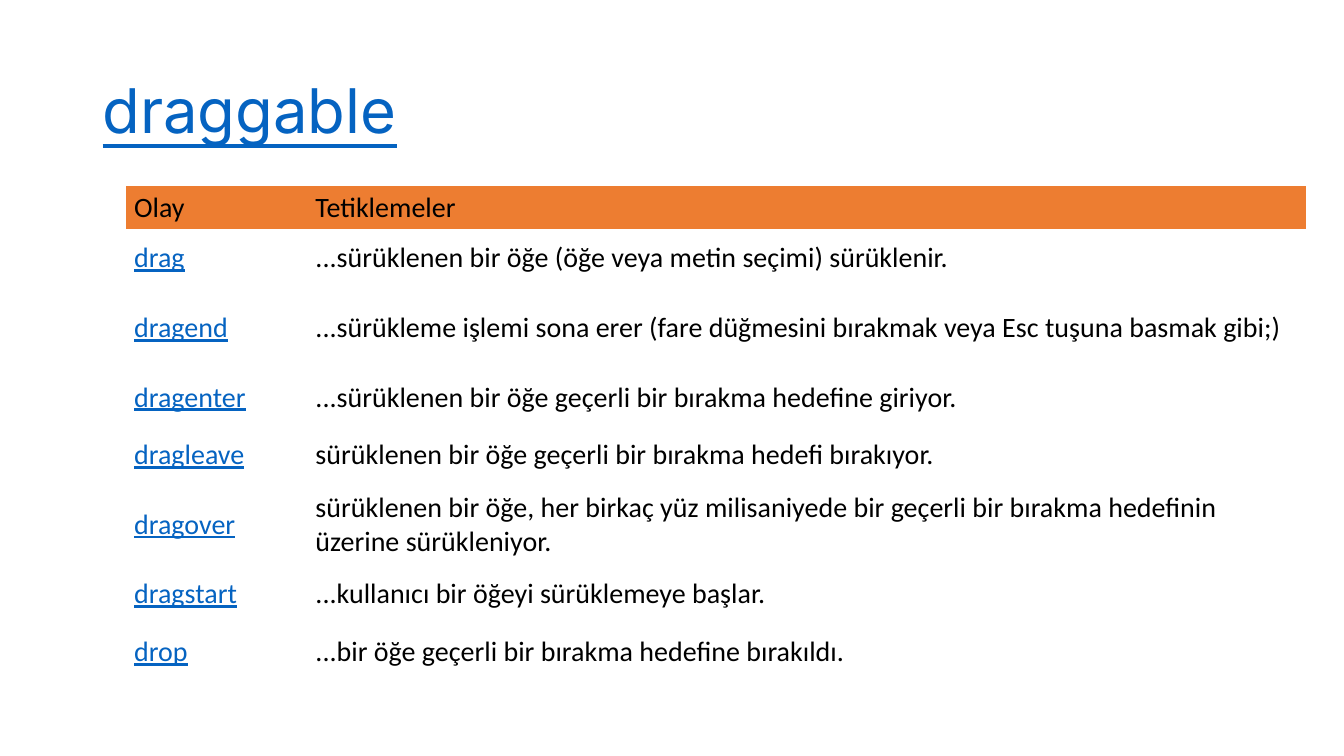
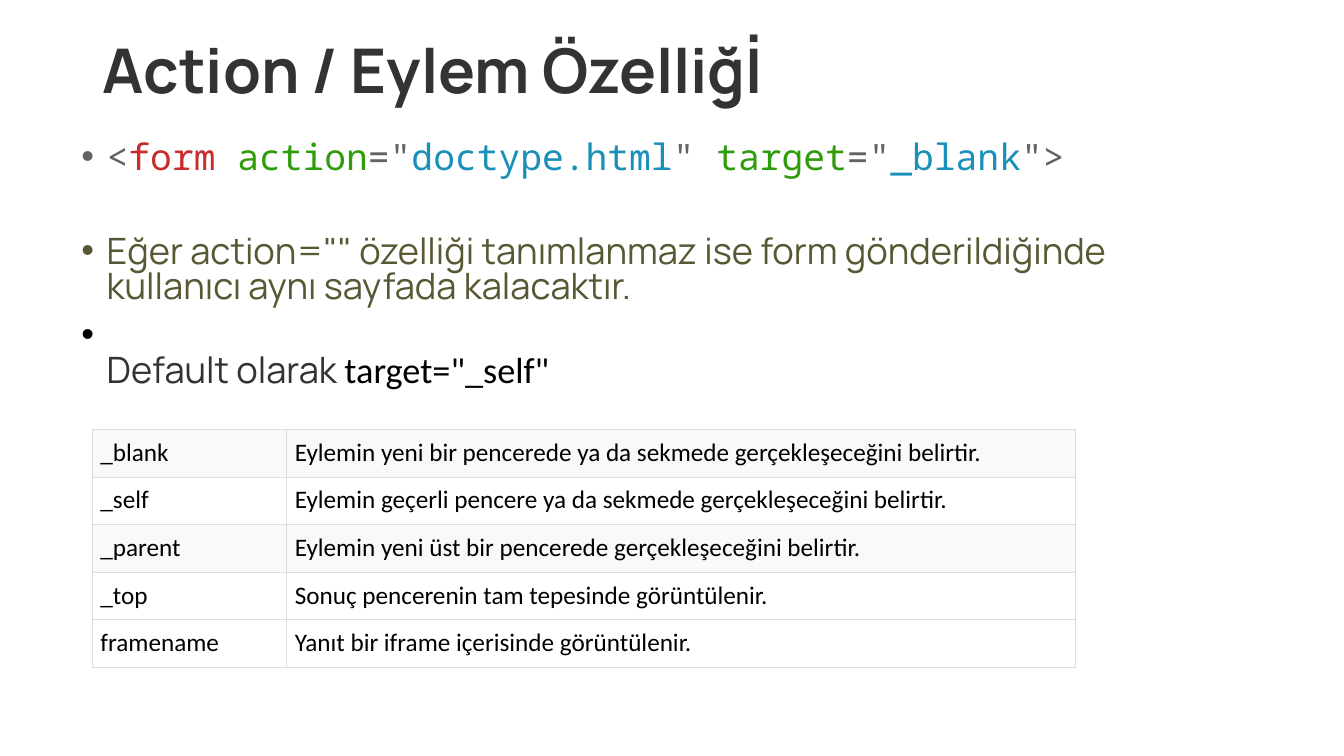
from dataclasses import dataclass
from typing import Any, Optional

from lxml import etree
from pptx import Presentation
from pptx import util as u
from pptx.dml.color import RGBColor
from pptx.enum import text
from pptx.oxml import ns

COLORS = {
    "black": "000000",
    "dark": "333333",
    "link": "0563C1",
    "header": "ED7D31",
    "stripe": "F9F9F9",
    "white": "FFFFFF",
    "border": "DDDDDD",
    "punctuation": "5F6364",
    "tag": "C92C2C",
    "attribute": "2F9C0A",
    "value": "1990B8",
    "olive": "585834",
}
BODY_SIZE = 25.9
NO_TABLE_STYLE = "{2D5ABB26-0587-4C30-8999-92F81FD0307C}"


@dataclass(frozen=True)
class Span:
    text: str
    color: str
    font: str


@dataclass(frozen=True)
class Bullet:
    spans: tuple[Span, ...]
    space_before: float = 10
    starts_below: bool = False


@dataclass(frozen=True)
class Row:
    name: str
    description: str
    height: float
    fill: Optional[str] = None
    name_is_link: bool = False


@dataclass(frozen=True)
class TableStyle:
    left: float
    top: float
    columns: tuple[float, float]
    size: float
    margin_y: float
    anchor: Any
    border: Optional[str] = None


EVENT_ROWS = (
    Row("Olay", "Tetiklemeler", 1.09, "header"),
    Row("drag", "...sürüklenen bir öğe (öğe veya metin seçimi) sürüklenir.", 1.45, None, True),
    Row("dragend", "...sürükleme işlemi sona erer (fare düğmesini bırakmak veya Esc tuşuna basmak gibi;)",
        2.06, None, True),
    Row("dragenter", "...sürüklenen bir öğe geçerli bir bırakma hedefine giriyor.", 1.45, None, True),
    Row("dragleave", "sürüklenen bir öğe geçerli bir bırakma hedefi bırakıyor.", 1.45, None, True),
    Row("dragover", "sürüklenen bir öğe, her birkaç yüz milisaniyede bir geçerli bir bırakma hedefinin "
        "üzerine sürükleniyor.", 2.06, None, True),
    Row("dragstart", "...kullanıcı bir öğeyi sürüklemeye başlar.", 1.45, None, True),
    Row("drop", "...bir öğe geçerli bir bırakma hedefine bırakıldı.", 1.45, None, True),
)
EVENT_STYLE = TableStyle(3.18, 4.69, (4.57, 25.15), 20, 0.1, text.MSO_ANCHOR.MIDDLE)

TARGET_ROWS = (
    Row("_blank", "Eylemin yeni bir pencerede ya da sekmede gerçekleşeceğini belirtir.", 1.2, "stripe"),
    Row("_self", "Eylemin geçerli pencere ya da sekmede gerçekleşeceğini belirtir.", 1.2, "white"),
    Row("_parent", "Eylemin yeni üst bir pencerede gerçekleşeceğini belirtir.", 1.2, "stripe"),
    Row("_top", "Sonuç pencerenin tam tepesinde görüntülenir.", 1.2, "white"),
    Row("framename", "Yanıt bir iframe içerisinde görüntülenir.", 1.2, "white"),
)
TARGET_STYLE = TableStyle(2.33, 10.82, (4.9, 19.86), 18, 0.2, text.MSO_ANCHOR.TOP, "border")

FORM_CODE = (
    ("<", "punctuation"),
    ("form ", "tag"),
    ("action", "attribute"),
    ('="', "punctuation"),
    ("doctype.html", "value"),
    ('" ', "punctuation"),
    ("target", "attribute"),
    ('="', "punctuation"),
    ("_blank", "value"),
    ('">', "punctuation"),
)
ACTION_BULLETS = (
    Bullet(tuple(Span(code, color, "Noto Sans Mono") for code, color in FORM_CODE)),
    Bullet((Span('Eğer action="" özelliği tanımlanmaz ise form gönderildiğinde '
                 "kullanıcı aynı sayfada kalacaktır.", "olive", "Manrope"),), 42),
    Bullet((Span("Default olarak ", "dark", "Manrope"),
            Span('target="_self"', "black", "Calibri")), starts_below=True),
)


def add_span(para: Any, content: str, *, size: float, font: str = "Calibri",
             color: str = "black", bold: bool = False, underline: bool = False) -> None:
    span = para.add_run()
    span.text = content
    span.font.name = font
    span.font.size = u.Pt(size)
    span.font.bold = bold
    span.font.underline = underline
    span.font.color.rgb = RGBColor.from_string(COLORS[color])


def add_page(deck: Any, title: str, *, anchor: Any, margin_top: float, **style: Any) -> Any:
    page = deck.slides.add_slide(deck.slide_layouts[5])
    box = page.shapes.title
    box.left, box.top, box.width, box.height = u.Cm(2.33), u.Cm(1.02), u.Cm(29.21), u.Cm(3.68)
    frame = box.text_frame
    frame.auto_size = text.MSO_AUTO_SIZE.NONE
    frame.vertical_anchor = anchor
    frame.margin_top = u.Cm(margin_top)
    para = frame.paragraphs[0]
    para.alignment = text.PP_ALIGN.LEFT
    para.line_spacing = 0.9
    add_span(para, title, size=44, **style)
    return page


def add_leading_break(para: Any) -> None:
    para.add_line_break()
    line_break = para._p.find(ns.qn("a:br"))
    style = etree.SubElement(line_break, ns.qn("a:rPr"), sz=str(round(BODY_SIZE * 100)))
    fill = etree.SubElement(style, ns.qn("a:solidFill"))
    etree.SubElement(fill, ns.qn("a:srgbClr"), val=COLORS["black"])
    etree.SubElement(style, ns.qn("a:latin"), typeface="Calibri")


def add_bullets(page: Any, bullets: tuple[Bullet, ...]) -> None:
    box = page.shapes.add_textbox(u.Cm(1.8), u.Cm(3.48), u.Cm(29.21), u.Cm(7.95))
    frame = box.text_frame
    frame.word_wrap = True
    for index, bullet in enumerate(bullets):
        para = frame.add_paragraph() if index else frame.paragraphs[0]
        para.line_spacing = 0.8
        para.space_before = u.Pt(bullet.space_before)
        indent = u.Cm(0.64)
        props = para._p.get_or_add_pPr()
        props.set("marL", str(indent))
        props.set("indent", str(-indent))
        etree.SubElement(props, ns.qn("a:buFont"), typeface="Arial")
        etree.SubElement(props, ns.qn("a:buChar"), char="•")
        if bullet.starts_below:
            add_leading_break(para)
        for span in bullet.spans:
            add_span(para, span.text, size=BODY_SIZE, font=span.font, color=span.color)


def add_borders(cell: Any, color: str) -> None:
    props = cell._tc.get_or_add_tcPr()
    for side in ("L", "R", "T", "B"):
        line = etree.SubElement(props, ns.qn(f"a:ln{side}"), w=str(u.Pt(0.75)))
        fill = etree.SubElement(line, ns.qn("a:solidFill"))
        etree.SubElement(fill, ns.qn("a:srgbClr"), val=COLORS[color])


def fill_cell(cell: Any, content: str, fill: Optional[str], link: bool, style: TableStyle) -> None:
    cell.vertical_anchor = style.anchor
    cell.margin_left = cell.margin_right = u.Cm(0.2)
    cell.margin_top = cell.margin_bottom = u.Cm(style.margin_y)
    if style.border:
        add_borders(cell, style.border)
    if fill:
        cell.fill.solid()
        cell.fill.fore_color.rgb = RGBColor.from_string(COLORS[fill])
    else:
        cell.fill.background()
    add_span(cell.text_frame.paragraphs[0], content, size=style.size,
             color="link" if link else "black", underline=link)


def add_rows(page: Any, rows: tuple[Row, ...], style: TableStyle) -> None:
    height = sum(row.height for row in rows)
    table = page.shapes.add_table(
        len(rows), len(style.columns), u.Cm(style.left), u.Cm(style.top),
        u.Cm(sum(style.columns)), u.Cm(height)).table
    table.first_row = table.horz_banding = False
    table._tbl.tblPr.find(ns.qn("a:tableStyleId")).text = NO_TABLE_STYLE
    for column, width in zip(table.columns, style.columns):
        column.width = u.Cm(width)
    for index, row in enumerate(rows):
        table.rows[index].height = u.Cm(row.height)
        fill_cell(table.cell(index, 0), row.name, row.fill, row.name_is_link, style)
        fill_cell(table.cell(index, 1), row.description, row.fill, False, style)


def main() -> None:
    deck = Presentation()
    deck.slide_width, deck.slide_height = u.Cm(33.87), u.Cm(19.05)

    events = add_page(deck, "draggable", anchor=text.MSO_ANCHOR.MIDDLE, margin_top=0.13,
                      font="Inter", color="link", underline=True)
    add_rows(events, EVENT_ROWS, EVENT_STYLE)

    action = add_page(deck, "Action / Eylem Özelliğİ", anchor=text.MSO_ANCHOR.TOP, margin_top=0,
                      font="Manrope", color="dark", bold=True)
    add_bullets(action, ACTION_BULLETS)
    add_rows(action, TARGET_ROWS, TARGET_STYLE)

    deck.save("out.pptx")


if __name__ == "__main__":
    main()
